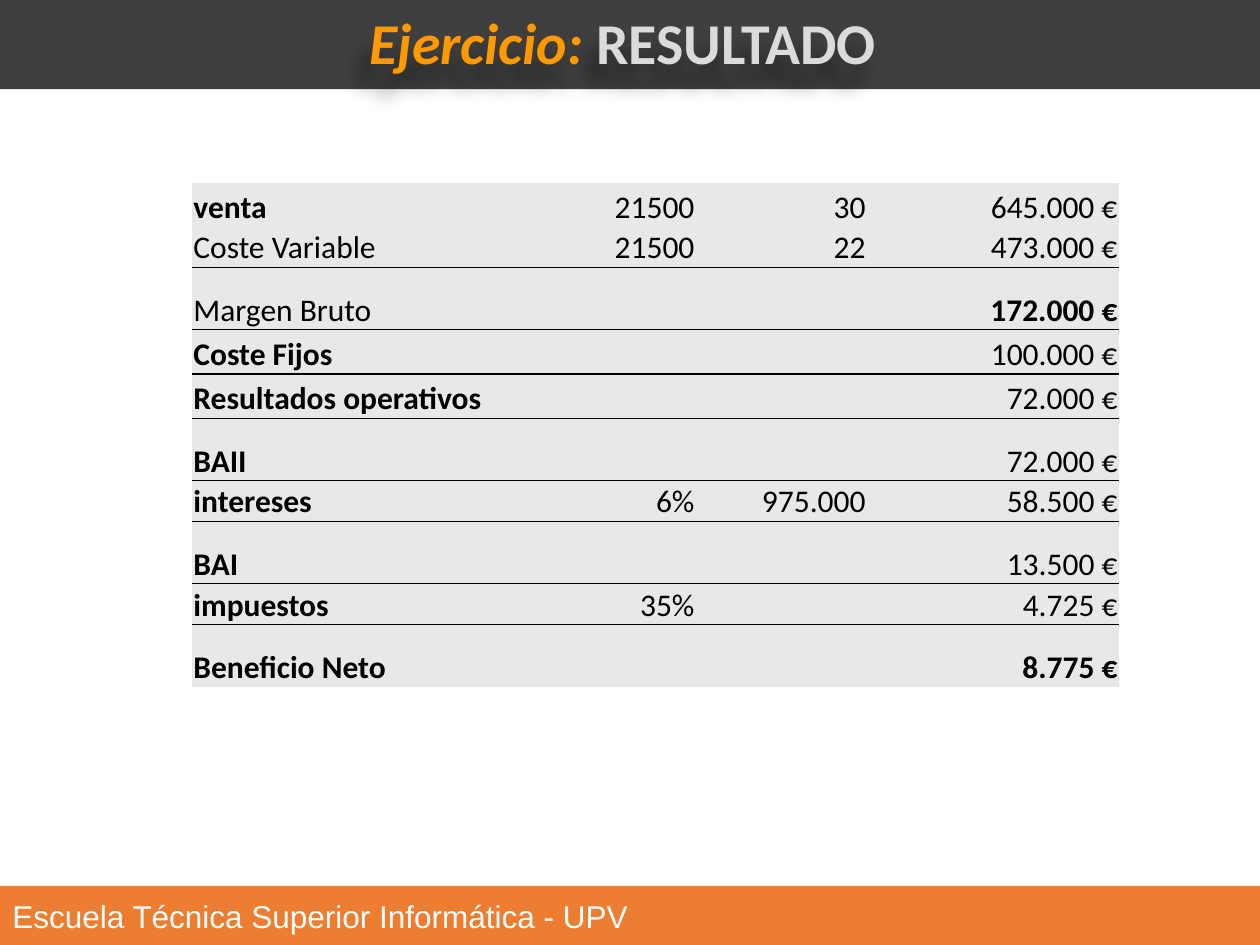
from lxml import etree
from pptx import Presentation
from pptx.dml.color import RGBColor
from pptx.enum.shapes import MSO_SHAPE
from pptx.enum.text import MSO_ANCHOR, MSO_AUTO_SIZE, PP_ALIGN
from pptx.oxml import parse_xml
from pptx.oxml.ns import nsdecls, qn
from pptx.util import Cm, Pt

CHARCOAL = RGBColor(0x3F, 0x3F, 0x3F)
ORANGE = RGBColor(0xED, 0x7D, 0x31)
AMBER = RGBColor(0xFF, 0x99, 0x00)
SILVER = RGBColor(0xDB, 0xDB, 0xDB)
PALE_GRAY = RGBColor(0xE8, 0xE8, 0xE8)
WHITE = RGBColor(0xFF, 0xFF, 0xFF)
BLACK = RGBColor(0, 0, 0)
NO_GRID_STYLE = "{2D5ABB26-0587-4C30-8999-92F81FD0307C}"


def add_band(page, top, height, color):
    band = page.shapes.add_shape(MSO_SHAPE.RECTANGLE, 0, top, Cm(25.4), height)
    band.shadow.inherit = False
    band.fill.solid()
    band.fill.fore_color.rgb = color
    band.line.fill.background()
    return band


def format_font(font, name, size, color, bold=False, italic=False):
    font.name = name
    font.size = Pt(size)
    font.color.rgb = color
    font.bold = bold
    font.italic = italic


deck = Presentation()
deck.slide_width = Cm(25.4)
deck.slide_height = Cm(19.05)
page = deck.slides.add_slide(deck.slide_layouts[5])
title = page.shapes.title

header = add_band(page, 0, Cm(1.8), CHARCOAL)
footer = add_band(page, Cm(17.86), Cm(1.19), ORANGE)
title.element.addprevious(header.element)
title.element.addprevious(footer.element)

footer_frame = footer.text_frame
footer_frame.text = "Escuela Técnica Superior Informática - UPV"
footer_frame.vertical_anchor = MSO_ANCHOR.MIDDLE
footer_frame.margin_left = footer_frame.margin_right = Cm(0.25)
footer_frame.paragraphs[0].alignment = PP_ALIGN.LEFT
format_font(footer_frame.paragraphs[0].runs[0].font, "Arial", 18, WHITE)

title.left, title.top, title.width, title.height = Cm(5.72), 0, Cm(13.67), Cm(1.83)
title_frame = title.text_frame
title_frame.word_wrap = True
title_frame.auto_size = MSO_AUTO_SIZE.NONE
title_frame.vertical_anchor = MSO_ANCHOR.MIDDLE
title_paragraph = title_frame.paragraphs[0]
title_paragraph.alignment = PP_ALIGN.CENTER
title_paragraph.line_spacing = 0.9
for text, color, italic in [("Ejercicio: ", AMBER, True), ("RESULTADO", SILVER, False)]:
    span = title_paragraph.add_run()
    span.text = text
    format_font(span.font, "Calibri", 33, color, True, italic)
title.element.spPr.append(parse_xml(
    f'<a:effectLst {nsdecls("a")}>'
    '<a:outerShdw blurRad="127000" dist="190500" dir="7200000" algn="ctr" rotWithShape="0">'
    '<a:srgbClr val="000000"><a:alpha val="40000"/></a:srgbClr>'
    '</a:outerShdw></a:effectLst>'))

LOW, MEDIUM, TALL = 0.82, 0.89, 1.26
rows = [
    (MEDIUM, ["venta", "21500", "30", "645.000 €"], {0}),
    (LOW, ["Coste Variable", "21500", "22", "473.000 €"], set()),
    (TALL, ["Margen Bruto", "", "", "172.000 €"], {3}),
    (MEDIUM, ["Coste Fijos", "", "", "100.000 €"], {0}),
    (MEDIUM, ["Resultados operativos", "", "", "72.000 €"], {0}),
    (TALL, ["BAII", "", "", "72.000 €"], {0}),
    (LOW, ["intereses", "6%", "975.000", "58.500 €"], {0}),
    (TALL, ["BAI", "", "", "13.500 €"], {0}),
    (LOW, ["impuestos", "35%", "", "4.725 €"], {0}),
    (TALL, ["Beneficio Neto", "", "", "8.775 €"], {0, 3}),
]
column_widths = [8, 2.16, 3.45, 5.08]
table_height = sum(height for height, texts, bold_columns in rows)
table = page.shapes.add_table(len(rows), len(column_widths), Cm(3.87), Cm(3.68),
                              Cm(sum(column_widths)), Cm(table_height)).table
table.first_row = False
table.horz_banding = False
table._tbl.tblPr.find(qn("a:tableStyleId")).text = NO_GRID_STYLE
for column, width in zip(table.columns, column_widths):
    column.width = Cm(width)

for row_index, (height, texts, bold_columns) in enumerate(rows):
    table.rows[row_index].height = Cm(height)
    for column_index, text in enumerate(texts):
        cell = table.cell(row_index, column_index)
        cell.text_frame.text = text
        cell.vertical_anchor = MSO_ANCHOR.BOTTOM
        cell.margin_left = cell.margin_right = cell.margin_top = Cm(0.03)
        cell.margin_bottom = 0
        cell.fill.solid()
        cell.fill.fore_color.rgb = PALE_GRAY
        paragraph = cell.text_frame.paragraphs[0]
        paragraph.alignment = PP_ALIGN.RIGHT if column_index else PP_ALIGN.LEFT
        paragraph.font.size = Pt(18)
        for span in paragraph.runs:
            format_font(span.font, "Calibri", 18, BLACK, column_index in bold_columns)
        if 0 < row_index < len(rows) - 1:
            border = etree.Element(qn("a:lnB"), w=str(Pt(0.75)))
            fill = etree.SubElement(border, qn("a:solidFill"))
            etree.SubElement(fill, qn("a:srgbClr"), val=str(BLACK))
            cell._tc.tcPr.insert(0, border)

deck.save("out.pptx")
